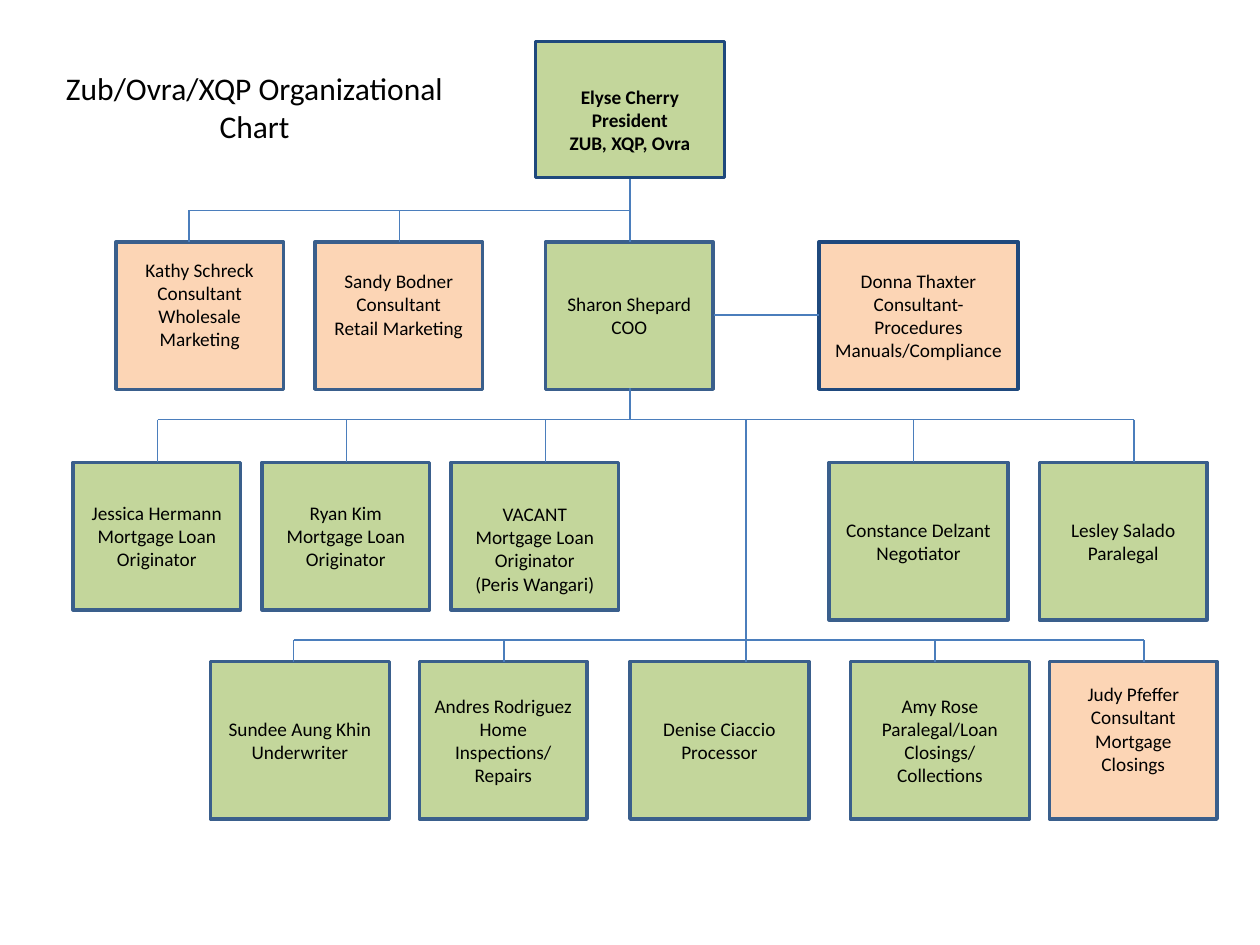
from dataclasses import dataclass
from pptx import Presentation
from pptx.dml.color import RGBColor
from pptx.enum.shapes import MSO_CONNECTOR as CONN, MSO_SHAPE as SHAPE
from pptx.enum.text import MSO_ANCHOR as ANCHOR, PP_ALIGN as ALIGN
from pptx.oxml import parse_xml
from pptx.oxml.ns import nsdecls
from pptx.util import Inches, Pt


@dataclass(frozen=True)
class Theme:
    font: str = "Calibri"
    text: str = "000000"
    staff: str = "C3D69B"
    consultant: str = "FCD5B5"
    border: str = "3A5F8C"
    strong: str = "1F497D"
    link: str = "4B7EBC"
    title_size: int = 18
    body_size: int = 11
    border_width: float = 2
    link_width: float = 0.75


T = Theme()
INSET = 0.05


def rgb(value):
    return RGBColor.from_string(value)


def write(tf, text, size, bold=False):
    tf.text = text
    font = {"name": T.font, "size": Pt(size), "bold": bold}
    for p in tf.paragraphs:
        p.alignment = ALIGN.CENTER
        for r in p.runs:
            for key, value in font.items():
                setattr(r.font, key, value)
            r.font.color.rgb = rgb(T.text)


def person(slide, box, text, fill=T.staff, border=T.border, shift=0, bold=False):
    sp = slide.shapes.add_shape(SHAPE.RECTANGLE, *map(Inches, box))
    sp.shadow.inherit = False
    sp.fill.solid()
    sp.fill.fore_color.rgb = rgb(fill)
    sp.line.color.rgb = rgb(border)
    sp.line.width = Pt(T.border_width)
    tf = sp.text_frame
    frame = {
        "word_wrap": True,
        "vertical_anchor": ANCHOR.MIDDLE,
        "margin_top": Inches(INSET + 2 * max(shift, 0)),
        "margin_bottom": Inches(INSET + 2 * max(-shift, 0)),
    }
    for key, value in frame.items():
        setattr(tf, key, value)
    write(tf, text, T.body_size, bold)


def tier(slide, left, top, height, people):
    for dx, width, text, style in people:
        person(slide, (left + dx, top, width, height), text, **style)


def link(slide, x1, y1, x2, y2):
    c = slide.shapes.add_connector(CONN.STRAIGHT, *map(Inches, (x1, y1, x2, y2)))
    c.line.color.rgb = rgb(T.link)
    c.line.width = Pt(T.link_width)
    c._element.spPr.append(parse_xml(f"<a:effectLst {nsdecls('a')}/>"))


def branch(slide, trunk, top, bus, bottom, drops):
    link(slide, trunk, top, trunk, bus)
    link(slide, min(drops), bus, max(drops), bus)
    for x in drops:
        link(slide, x, bus, x, bottom)


def title(slide, box, text):
    tb = slide.shapes.add_textbox(*map(Inches, box))
    tb.text_frame.word_wrap = False
    write(tb.text_frame, text, T.title_size)


STAFF = {}
ADVISOR = {"fill": T.consultant}
RAISED = {"fill": T.consultant, "shift": -0.09}
HEAD = {"border": T.strong, "shift": 0.08, "bold": True}

TIERS = [
    (4.25, 0.33, 1.08, [
        (0, 1.5, "Elyse Cherry\vPresident\nZUB, XQP, Ovra", HEAD),
    ]),
    (0.92, 1.92, 1.17, [
        (0, 1.33, "Kathy Schreck\vConsultant\vWholesale\vMarketing", RAISED),
        (1.58, 1.33, "Sandy Bodner\vConsultant\nRetail Marketing", RAISED),
        (3.41, 1.33, "Sharon Shepard\nCOO", STAFF),
        (5.58, 1.58, "Donna Thaxter\vConsultant- Procedures Manuals/Compliance",
         {**ADVISOR, "border": T.strong}),
    ]),
    (0.58, 3.67, 1.17, [
        (0, 1.33, "Jessica Hermann\vMortgage Loan Originator", STAFF),
        (1.5, 1.33, "Ryan Kim\vMortgage Loan Originator", STAFF),
        (3, 1.33, "VACANT\vMortgage Loan Originator\v(Peris Wangari)", {"shift": 0.1}),
    ]),
    (6.58, 3.67, 1.25, [
        (0, 1.42, "Constance Delzant\nNegotiator", STAFF),
        (1.67, 1.33, "Lesley Salado\vParalegal", STAFF),
    ]),
    (1.67, 5.25, 1.25, [
        (0, 1.42, "Sundee Aung Khin\nUnderwriter", STAFF),
        (1.66, 1.33, "Andres Rodriguez\nHome Inspections/ Repairs", STAFF),
        (3.33, 1.42, "Denise Ciaccio\nProcessor", STAFF),
        (5.08, 1.42, "Amy Rose\vParalegal/Loan Closings/\vCollections", STAFF),
        (6.66, 1.33, "Judy Pfeffer Consultant\nMortgage Closings", RAISED),
    ]),
]

BRANCHES = [
    (5, 1.42, 1.67, 1.92, [1.5, 3.17, 5]),
    (5, 3.08, 3.33, 3.67, [1.25, 2.75, 4.33, 7.25, 9]),
    (5.92, 3.33, 5.08, 5.25, [2.33, 4, 5.92, 7.42, 9.08]),
]


def org_chart(slide):
    for row in TIERS:
        tier(slide, *row)
    for row in BRANCHES:
        branch(slide, *row)
    link(slide, 5.67, 2.5, 6.5, 2.5)


prs = Presentation()
prs.slide_width, prs.slide_height = Inches(10), Inches(7.5)
slide = prs.slides.add_slide(prs.slide_layouts[6])
org_chart(slide)
title(slide, (0.42, 0.5, 3.2, 0.71), "Zub/Ovra/XQP Organizational\vChart")
prs.save("out.pptx")
